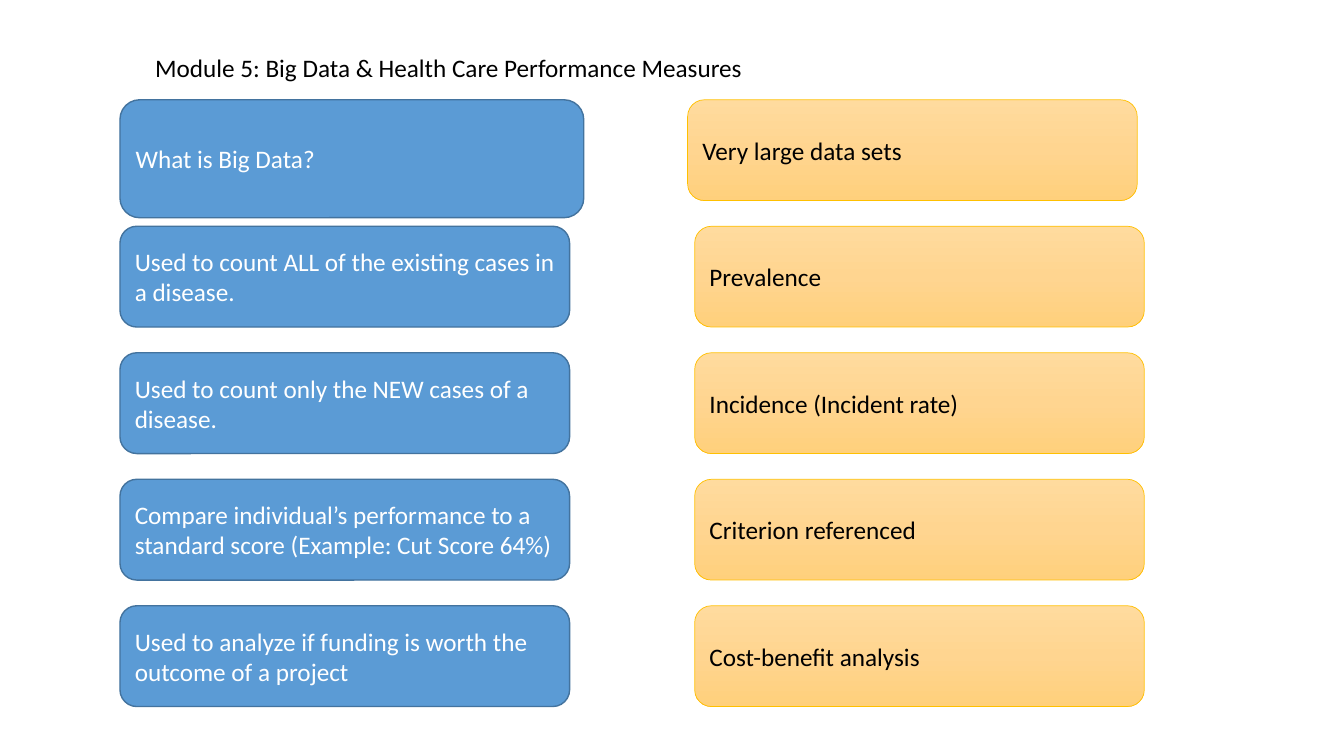
import copy
import dataclasses

import pptx
import pptx.dml.color
import pptx.enum.shapes
import pptx.enum.text
import pptx.oxml.ns
import pptx.util


@dataclasses.dataclass(frozen=True)
class Theme:
    font: str = "Calibri"
    size: int = 18
    light: str = "FFFFFF"
    dark: str = "000000"
    question_fill: str = "5B9BD5"
    question_line: str = "43739E"
    answer_stops: tuple = ((0, "FFDB9E"), (0.5, "FFD590"), (1, "FFD07C"))
    answer_line: str = "FFC000"


THEME = Theme()
FIRST_TOP, LAST_TOP = 0.99, 6.01
QUESTION_LEFT, ANSWER_LEFT = 1.19, 6.89
BOX_WIDTH, BOX_HEIGHT = 4.46, 1

PAIRS = [
    ("What is Big Data?", "Very large data sets"),
    ("Used to count ALL of the existing cases in a disease.", "Prevalence"),
    ("Used to count only the NEW cases of a disease.", "Incidence (Incident rate)"),
    ("Compare individual’s performance to a standard score (Example: Cut Score 64%)",
     "Criterion referenced"),
    ("Used to analyze if funding is worth the outcome of a project",
     "Cost-benefit analysis"),
]


def rgb(value):
    return pptx.dml.color.RGBColor.from_string(value)


def inches(*lengths):
    return [pptx.util.Inches(length) for length in lengths]


def write(box, text, color):
    box.text_frame.text = text
    para = box.text_frame.paragraphs[0]
    para.alignment = pptx.enum.text.PP_ALIGN.LEFT
    font = para.runs[0].font
    font.name = THEME.font
    font.size = pptx.util.Pt(THEME.size)
    font.color.rgb = rgb(color)


def add_box(page, place, text, text_color, line_color, line_width):
    kind = pptx.enum.shapes.MSO_SHAPE.ROUNDED_RECTANGLE
    box = page.shapes.add_shape(kind, *inches(*place))
    box.shadow.inherit = False
    box.line.color.rgb = rgb(line_color)
    box.line.width = pptx.util.Pt(line_width)
    box.text_frame.word_wrap = True
    box.text_frame.vertical_anchor = pptx.enum.text.MSO_ANCHOR.MIDDLE
    write(box, text, text_color)
    return box


def add_question(page, place, text):
    box = add_box(page, place, text, THEME.light, THEME.question_line, 1)
    box.fill.solid()
    box.fill.fore_color.rgb = rgb(THEME.question_fill)


def add_answer(page, place, text):
    box = add_box(page, place, text, THEME.dark, THEME.answer_line, 0.5)
    box.fill.gradient()
    box.fill.gradient_angle = 270
    stop_list = next(box.element.iter(pptx.oxml.ns.qn("a:gsLst")))
    stop_list.insert(1, copy.deepcopy(stop_list[0]))
    for stop, (position, color) in zip(box.fill.gradient_stops, THEME.answer_stops):
        stop.position = position
        stop.color.rgb = rgb(color)


def add_heading(page, place, text):
    box = page.shapes.add_textbox(*inches(*place))
    box.text_frame.word_wrap = False
    box.text_frame.auto_size = pptx.enum.text.MSO_AUTO_SIZE.SHAPE_TO_FIT_TEXT
    write(box, text, THEME.dark)


def main():
    deck = pptx.Presentation()
    deck.slide_width, deck.slide_height = inches(13.33, 7.5)
    page = deck.slides.add_slide(deck.slide_layouts[6])
    add_heading(page, (1.44, 0.47, 6.09, 0.4),
                "Module 5: Big Data & Health Care Performance Measures")
    pitch = (LAST_TOP - FIRST_TOP) / (len(PAIRS) - 1)
    for row, (question, answer) in enumerate(PAIRS):
        top = FIRST_TOP + row * pitch
        first = row == 0
        question_size = (4.6, 1.17) if first else (BOX_WIDTH, BOX_HEIGHT)
        answer_left = 6.82 if first else ANSWER_LEFT
        add_question(page, (QUESTION_LEFT, top, *question_size), question)
        add_answer(page, (answer_left, top, BOX_WIDTH, BOX_HEIGHT), answer)
    deck.save("out.pptx")


if __name__ == "__main__":
    main()
